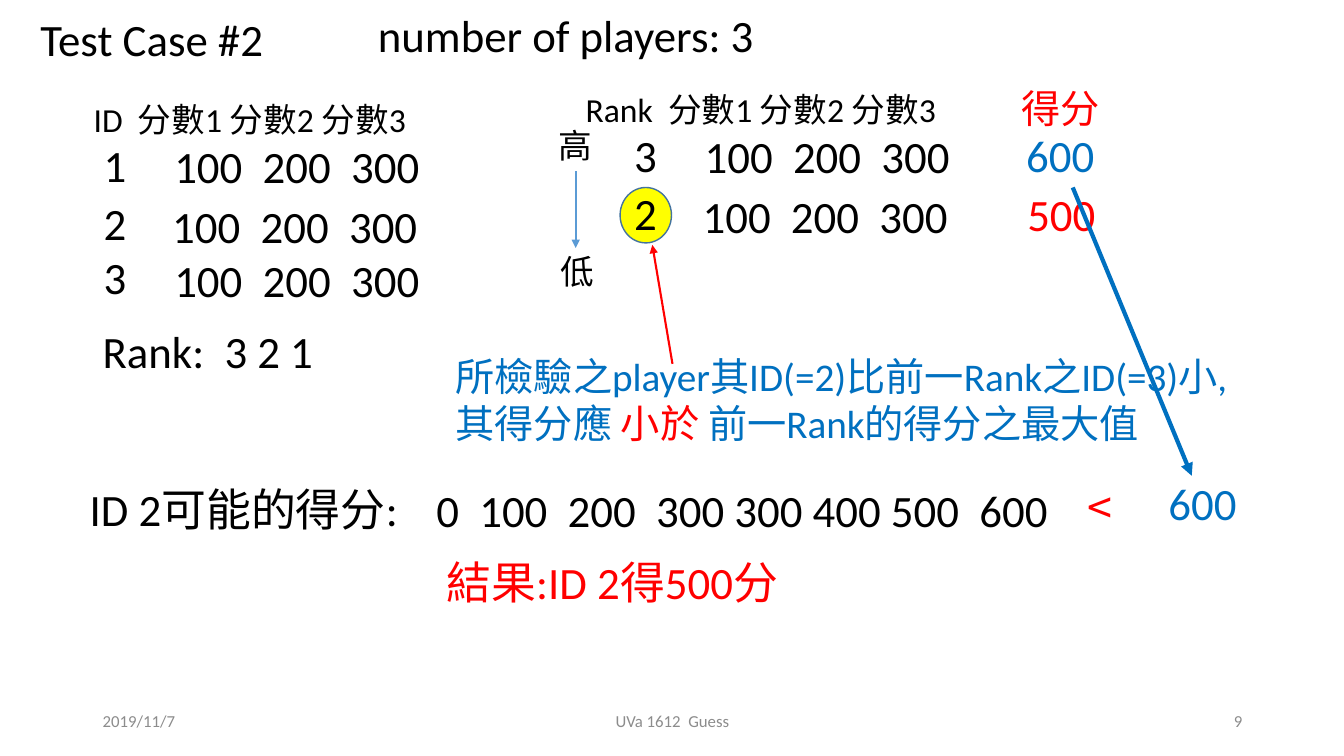
import pptx
import pptx.util
import pptx.dml.color
import pptx.enum.shapes
import pptx.enum.text
import pptx.oxml.ns
import lxml.etree

Inches = pptx.util.Inches
ALIGN = pptx.enum.text.PP_ALIGN
ANCHOR = pptx.enum.text.MSO_ANCHOR
BLACK, RED, BLUE, GRAY = "000000", "FF0000", "0070C0", "8C8C8C"
LATIN_FONT, CHINESE_FONT = "Calibri", "Noto Sans CJK SC"


def color(hex_value):
    return pptx.dml.color.RGBColor.from_string(hex_value)


def write_text(shape, parts, size, align=ALIGN.LEFT, anchor=ANCHOR.TOP, latin=LATIN_FONT):
    """Fill a shape with one paragraph made of (text, colour) parts."""
    frame_format = {
        "word_wrap": True,
        "auto_size": pptx.enum.text.MSO_AUTO_SIZE.NONE,
        "vertical_anchor": anchor,
    }
    for name, value in frame_format.items():
        setattr(shape.text_frame, name, value)
    paragraph = shape.text_frame.paragraphs[0]
    paragraph.alignment = align
    for text, hex_value in parts:
        run = paragraph.add_run()
        run.text = text
        run.font.color.rgb = color(hex_value)
        for name, value in {"size": pptx.util.Pt(size), "name": latin}.items():
            setattr(run.font, name, value)
        east_asian = lxml.etree.SubElement(run.font._element, pptx.oxml.ns.qn("a:ea"))
        east_asian.set("typeface", CHINESE_FONT)


presentation = pptx.Presentation()
presentation.slide_width = Inches(13.33)
presentation.slide_height = Inches(7.5)
slide = presentation.slides.add_slide(presentation.slide_layouts[5])

# Title
title = slide.shapes.title
title_place = {"left": 0.3, "top": 0.07, "width": 2.68, "height": 0.64}
for name, value in title_place.items():
    setattr(title, name, Inches(value))
write_text(title, [("Test Case #2", BLACK)], 32)

# Yellow marker behind the checked player
marker = slide.shapes.add_shape(
    pptx.enum.shapes.MSO_SHAPE.OVAL, Inches(6.15), Inches(1.86), Inches(0.51), Inches(0.55))
marker.shadow.inherit = False
marker.fill.solid()
marker.fill.fore_color.rgb = color("FFFF00")
marker.line.color.rgb = color("43739E")
marker.line.width = pptx.util.Pt(1)

# Headings, labels and results: left, top, width, size, parts
labels = [
    (3.65, 0.03, 5.17, 32, [("number of players: 3", BLACK)]),
    (0.83, 0.93, 3.93, 24, [("ID  分數1 分數2 分數3", BLACK)]),
    (5.71, 0.83, 4.3, 24, [("Rank  分數1 分數2 分數3", BLACK)]),
    (10.03, 0.79, 1.29, 28, [("得分", RED)]),
    (5.44, 1.19, 0.8, 24, [("高", BLACK)]),
    (5.46, 2.44, 0.8, 24, [("低", BLACK)]),
    (0.92, 3.16, 2.5, 32, [("Rank:  3 2 1", BLACK)]),
    (4.42, 3.45, 8.07, 28, [
        ("所檢驗之player其ID(=2)比前一Rank之ID(=3)小,其得分應 ", BLUE),
        ("小於 ", RED),
        ("前一Rank的得分之最大值", BLUE),
    ]),
    (0.79, 4.73, 3.19, 32, [("ID 2可能的得分:", BLACK)]),
    (4.23, 4.74, 6.3, 32, [("0  100  200  300 300 400 500  600", BLACK)]),
    (11.49, 4.67, 1.12, 32, [("600", BLUE)]),
    (4.33, 5.45, 4.05, 32, [("結果:ID 2得500分", RED)]),
    (10.08, 1.22, 1.12, 32, [("600", BLUE)]),
    (10.09, 1.8, 1.12, 32, [("500", RED)]),
]

# Player rows: number left and top, scores left and top
player_rows = [
    ("1", 0.93, 1.32, 1.63, 1.33),
    ("2", 0.93, 1.89, 1.61, 1.92),
    ("3", 0.93, 2.43, 1.63, 2.46),
    ("3", 6.19, 1.22, 6.89, 1.23),
    ("2", 6.19, 1.79, 6.87, 1.82),
]
for player, player_left, player_top, scores_left, scores_top in player_rows:
    labels.append((player_left, player_top, 0.57, 32, [(player, BLACK)]))
    labels.append((scores_left, scores_top, 2.75, 32, [("100  200  300", BLACK)]))

box_heights = {24: 0.5, 28: 0.57, 32: 0.64}
for left, top, width, size, parts in labels:
    height = 1.04 if len(parts) > 1 else box_heights[size]
    box = slide.shapes.add_textbox(Inches(left), Inches(top), Inches(width), Inches(height))
    write_text(box, parts, size)

# Comparison sign
sign = slide.shapes.add_textbox(Inches(10.69), Inches(4.71), Inches(0.8), Inches(0.64))
write_text(sign, [("<", RED)], 32, latin="Noto Sans CJK TC")

# Arrows
arrows = [
    (5.71, 1.7, 5.71, 2.46, "5B9BD5", 1.5),
    (6.67, 3.61, 6.47, 2.43, RED, 1.5),
    (10.64, 1.86, 11.82, 4.72, BLUE, 3),
]
for start_x, start_y, end_x, end_y, hex_value, weight in arrows:
    arrow = slide.shapes.add_connector(
        pptx.enum.shapes.MSO_CONNECTOR.STRAIGHT,
        Inches(start_x), Inches(start_y), Inches(end_x), Inches(end_y))
    arrow.line.color.rgb = color(hex_value)
    arrow.line.width = pptx.util.Pt(weight)
    line_element = arrow.line._get_or_add_ln()
    lxml.etree.SubElement(line_element, pptx.oxml.ns.qn("a:tailEnd")).set("type", "triangle")
    lxml.etree.SubElement(arrow._element.spPr, pptx.oxml.ns.qn("a:effectLst"))

# Footer
footer = [
    (0.92, 3, "2019/11/7", ALIGN.LEFT),
    (4.42, 4.5, "UVa 1612  Guess", ALIGN.CENTER),
    (9.42, 3, "9", ALIGN.RIGHT),
]
for left, width, text, align in footer:
    box = slide.shapes.add_textbox(Inches(left), Inches(6.95), Inches(width), Inches(0.4))
    write_text(box, [(text, GRAY)], 12, align, ANCHOR.MIDDLE)

presentation.save("out.pptx")
